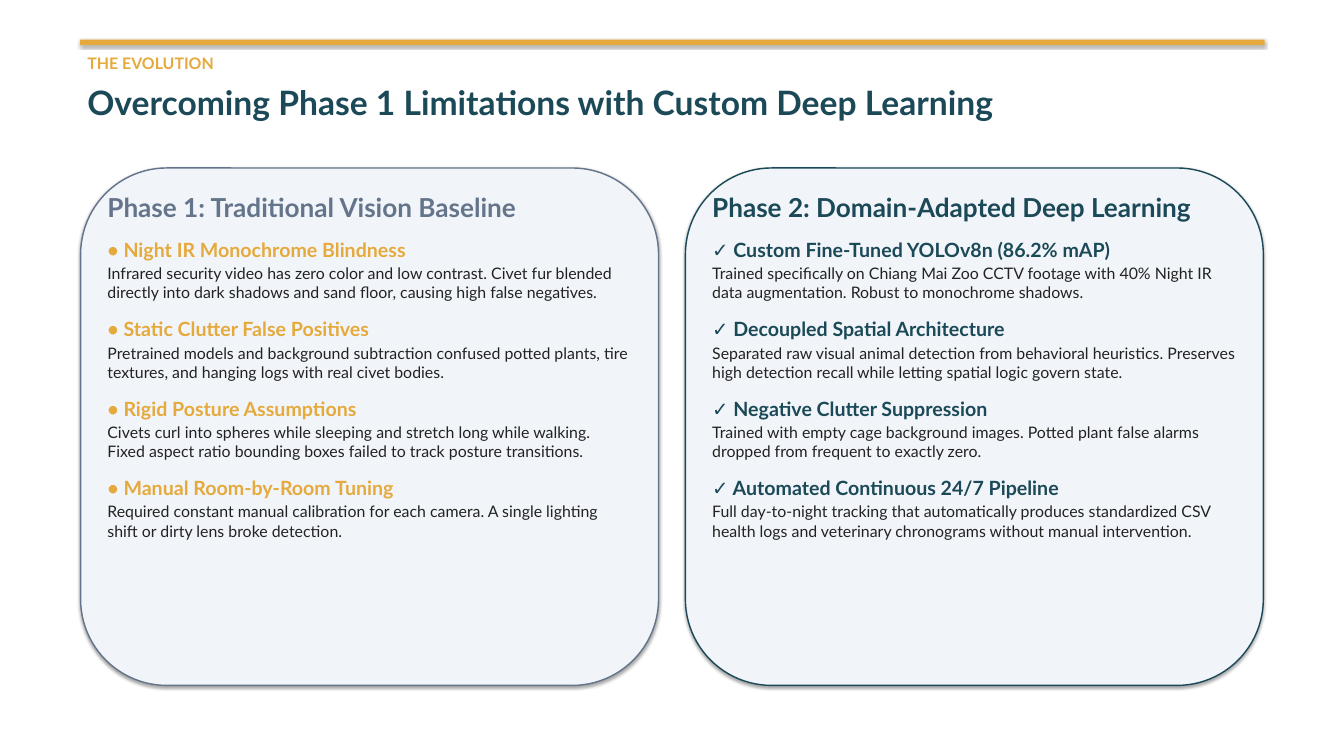
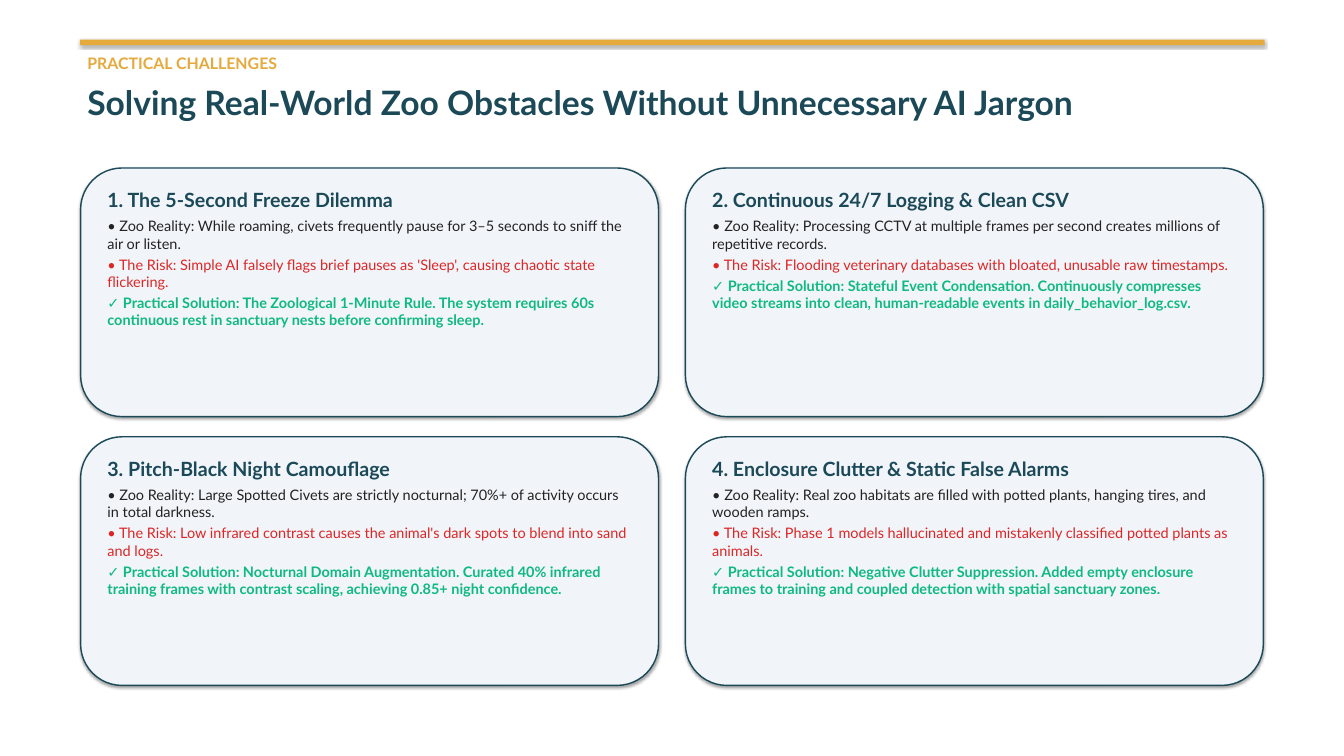
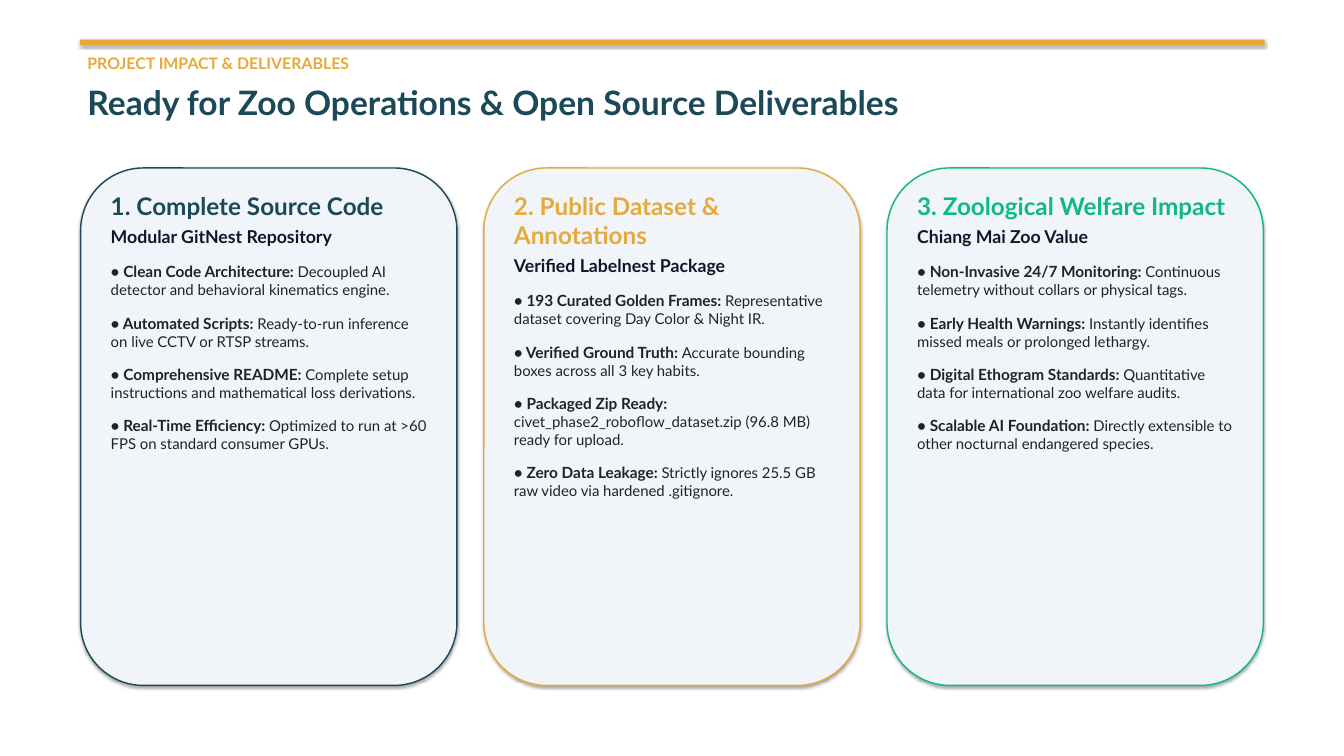
"""Build three slides on a zoo's civet tracking project."""
from pptx import Presentation
from pptx.dml.color import RGBColor
from pptx.enum.shapes import MSO_SHAPE
from pptx.enum.text import MSO_AUTO_SIZE
from pptx.util import Emu, Pt

FONT = "Lato"
GOLD, TEAL, SLATE, GREEN = "E5A93C", "1B4958", "64748B", "10B981"
RED, INK, NAVY, PALE = "DC2626", "222222", "0F172A", "F1F5F9"
LEFT, TOP, WIDE, HIGH = 120, 250, 1760, 770
GAP, ROW_GAP = 40, 30


def px(size):
    """Turn px, 100 to the inch, into EMU."""
    return Emu(size * 9144)


def paint(target, color):
    """Give a fill a solid colour."""
    target.solid()
    target.fore_color.rgb = RGBColor.from_string(color)


def para(text, size, color, bold=False, gap=0, lead=""):
    """Describe a paragraph, with an optional bold lead-in."""
    return text, size, color, bold, gap, lead


class Deck:
    """Holds the style and the current slide."""

    def __init__(self):
        """Start an empty deck."""
        self.prs = Presentation()
        self.prs.slide_width, self.prs.slide_height = px(2000), px(1125)
        self.slide = None

    def page(self, label, title):
        """Add a slide with its gold band, label and title."""
        self.slide = self.prs.slides.add_slide(self.prs.slide_layouts[6])
        paint(self.slide.background.fill, "FFFFFF")
        band = self.shape(MSO_SHAPE.RECTANGLE, (119, 59, 1763, 8), GOLD)
        band.line.fill.background()
        self.text((130, 80, 1741, 40), [para(label, 17, GOLD, True)], False)
        self.text((130, 122, 1741, 95), [para(title, 36, TEAL, True)], False)

    def shape(self, kind, box, fill):
        """Add a filled shape that keeps the theme shadow."""
        shape = self.slide.shapes.add_shape(kind, *map(px, box))
        paint(shape.fill, fill)
        return shape

    def text(self, box, paras, inset=True):
        """Add a text box with one entry for each paragraph."""
        frame = self.slide.shapes.add_textbox(*map(px, box)).text_frame
        frame.word_wrap = True
        frame.auto_size = MSO_AUTO_SIZE.SHAPE_TO_FIT_TEXT
        if not inset:
            frame.margin_left = frame.margin_right = 0
            frame.margin_top = frame.margin_bottom = 0
        for i, (text, size, color, bold, gap, lead) in enumerate(paras):
            line = frame.add_paragraph() if i else frame.paragraphs[0]
            if gap:
                line.space_before = Pt(gap)
            font = line.font
            font.name, font.size, font.bold = FONT, Pt(size), bold
            paint(font.fill, color)
            if lead:
                run = line.add_run()
                run.text = lead
                run.font.size, run.font.bold = Pt(size + 0.5), True
            line.add_run().text = text

    def card(self, box, color, pad, paras):
        """Add a rounded card with text inside its padding."""
        card = self.shape(MSO_SHAPE.ROUNDED_RECTANGLE, box, PALE)
        paint(card.line.fill, color)
        card.line.width = Pt(1.5)
        x, y, w, h = box
        dx, dy = pad
        self.text((x + dx, y + dy, w - 2 * dx, h - 2 * dy), paras)


def grid(cols, rows=1):
    """List the card boxes row by row."""
    w = (WIDE - GAP * (cols - 1)) // cols
    h = (HIGH - ROW_GAP * (rows - 1)) // rows
    return [(LEFT + c * (w + GAP), TOP + r * (h + ROW_GAP), w, h)
            for r in range(rows) for c in range(cols)]


PHASES = [
    ("Phase 1: Traditional Vision Baseline", SLATE, GOLD, "•", [
        ("Night IR Monochrome Blindness",
         "Infrared security video has zero color and low contrast. Civet fur "
         "blended directly into dark shadows and sand floor, causing high "
         "false negatives."),
        ("Static Clutter False Positives",
         "Pretrained models and background subtraction confused potted "
         "plants, tire textures, and hanging logs with real civet bodies."),
        ("Rigid Posture Assumptions",
         "Civets curl into spheres while sleeping and stretch long while "
         "walking. Fixed aspect ratio bounding boxes failed to track posture "
         "transitions."),
        ("Manual Room-by-Room Tuning",
         "Required constant manual calibration for each camera. A single "
         "lighting shift or dirty lens broke detection."),
    ]),
    ("Phase 2: Domain-Adapted Deep Learning", TEAL, TEAL, "✓", [
        ("Custom Fine-Tuned YOLOv8n (86.2% mAP)",
         "Trained specifically on Chiang Mai Zoo CCTV footage with 40% Night "
         "IR data augmentation. Robust to monochrome shadows."),
        ("Decoupled Spatial Architecture",
         "Separated raw visual animal detection from behavioral heuristics. "
         "Preserves high detection recall while letting spatial logic govern "
         "state."),
        ("Negative Clutter Suppression",
         "Trained with empty cage background images. Potted plant false "
         "alarms dropped from frequent to exactly zero."),
        ("Automated Continuous 24/7 Pipeline",
         "Full day-to-night tracking that automatically produces standardized "
         "CSV health logs and veterinary chronograms without manual "
         "intervention."),
    ]),
]

HURDLES = [
    ("The 5-Second Freeze Dilemma",
     "While roaming, civets frequently pause for 3–5 seconds to sniff the "
     "air or listen.",
     "Simple AI falsely flags brief pauses as 'Sleep', causing chaotic state "
     "flickering.",
     "The Zoological 1-Minute Rule. The system requires 60s continuous rest "
     "in sanctuary nests before confirming sleep."),
    ("Continuous 24/7 Logging & Clean CSV",
     "Processing CCTV at multiple frames per second creates millions of "
     "repetitive records.",
     "Flooding veterinary databases with bloated, unusable raw timestamps.",
     "Stateful Event Condensation. Continuously compresses video streams "
     "into clean, human-readable events in daily_behavior_log.csv."),
    ("Pitch-Black Night Camouflage",
     "Large Spotted Civets are strictly nocturnal; 70%+ of activity occurs "
     "in total darkness.",
     "Low infrared contrast causes the animal's dark spots to blend into "
     "sand and logs.",
     "Nocturnal Domain Augmentation. Curated 40% infrared training frames "
     "with contrast scaling, achieving 0.85+ night confidence."),
    ("Enclosure Clutter & Static False Alarms",
     "Real zoo habitats are filled with potted plants, hanging tires, and "
     "wooden ramps.",
     "Phase 1 models hallucinated and mistakenly classified potted plants as "
     "animals.",
     "Negative Clutter Suppression. Added empty enclosure frames to training "
     "and coupled detection with spatial sanctuary zones."),
]

OUTPUTS = [
    ("Complete Source Code", "Modular GitNest Repository", TEAL, [
        ("Clean Code Architecture",
         "Decoupled AI detector and behavioral kinematics engine."),
        ("Automated Scripts",
         "Ready-to-run inference on live CCTV or RTSP streams."),
        ("Comprehensive README",
         "Complete setup instructions and mathematical loss derivations."),
        ("Real-Time Efficiency",
         "Optimized to run at >60 FPS on standard consumer GPUs."),
    ]),
    ("Public Dataset & Annotations", "Verified Labelnest Package", GOLD, [
        ("193 Curated Golden Frames",
         "Representative dataset covering Day Color & Night IR."),
        ("Verified Ground Truth",
         "Accurate bounding boxes across all 3 key habits."),
        ("Packaged Zip Ready",
         "civet_phase2_roboflow_dataset.zip (96.8 MB) ready for upload."),
        ("Zero Data Leakage",
         "Strictly ignores 25.5 GB raw video via hardened .gitignore."),
    ]),
    ("Zoological Welfare Impact", "Chiang Mai Zoo Value", GREEN, [
        ("Non-Invasive 24/7 Monitoring",
         "Continuous telemetry without collars or physical tags."),
        ("Early Health Warnings",
         "Instantly identifies missed meals or prolonged lethargy."),
        ("Digital Ethogram Standards",
         "Quantitative data for international zoo welfare audits."),
        ("Scalable AI Foundation",
         "Directly extensible to other nocturnal endangered species."),
    ]),
]


def show_phases(deck):
    """Compare the two phases side by side."""
    deck.page("THE EVOLUTION",
              "Overcoming Phase 1 Limitations with Custom Deep Learning")
    for box, (title, color, accent, mark, points) in zip(grid(2), PHASES):
        paras = [para(title, 28, color, True)]
        for head, body in points:
            paras += [para(f"{mark} {head}", 21, accent, True, 16),
                      para(body, 17, INK, gap=3)]
        deck.card(box, color, (30, 30), paras)


def show_hurdles(deck):
    """Show four obstacles with their risk and solution."""
    deck.page("PRACTICAL CHALLENGES",
              "Solving Real-World Zoo Obstacles Without Unnecessary AI Jargon")
    for i, (box, hurdle) in enumerate(zip(grid(2, 2), HURDLES), 1):
        title, fact, risk, fix = hurdle
        deck.card(box, TEAL, (30, 25), [
            para(f"{i}. {title}", 21, TEAL, True),
            para(f"• Zoo Reality: {fact}", 15.5, INK, gap=6),
            para(f"• The Risk: {risk}", 15.5, RED, gap=4),
            para(f"✓ Practical Solution: {fix}", 15.5, GREEN, True, 4)])


def show_outputs(deck):
    """Show the three deliverables in columns."""
    deck.page("PROJECT IMPACT & DELIVERABLES",
              "Ready for Zoo Operations & Open Source Deliverables")
    for i, (box, output) in enumerate(zip(grid(3), OUTPUTS), 1):
        title, label, color, points = output
        paras = [para(f"{i}. {title}", 26, color, True),
                 para(label, 19, NAVY, True, 6)]
        paras += [para(body, 16, INK, gap=16, lead=f"• {head}: ")
                  for head, body in points]
        deck.card(box, color, (35, 30), paras)


def main():
    """Build and save the deck."""
    deck = Deck()
    show_phases(deck)
    show_hurdles(deck)
    show_outputs(deck)
    deck.prs.save("out.pptx")


if __name__ == "__main__":
    main()
